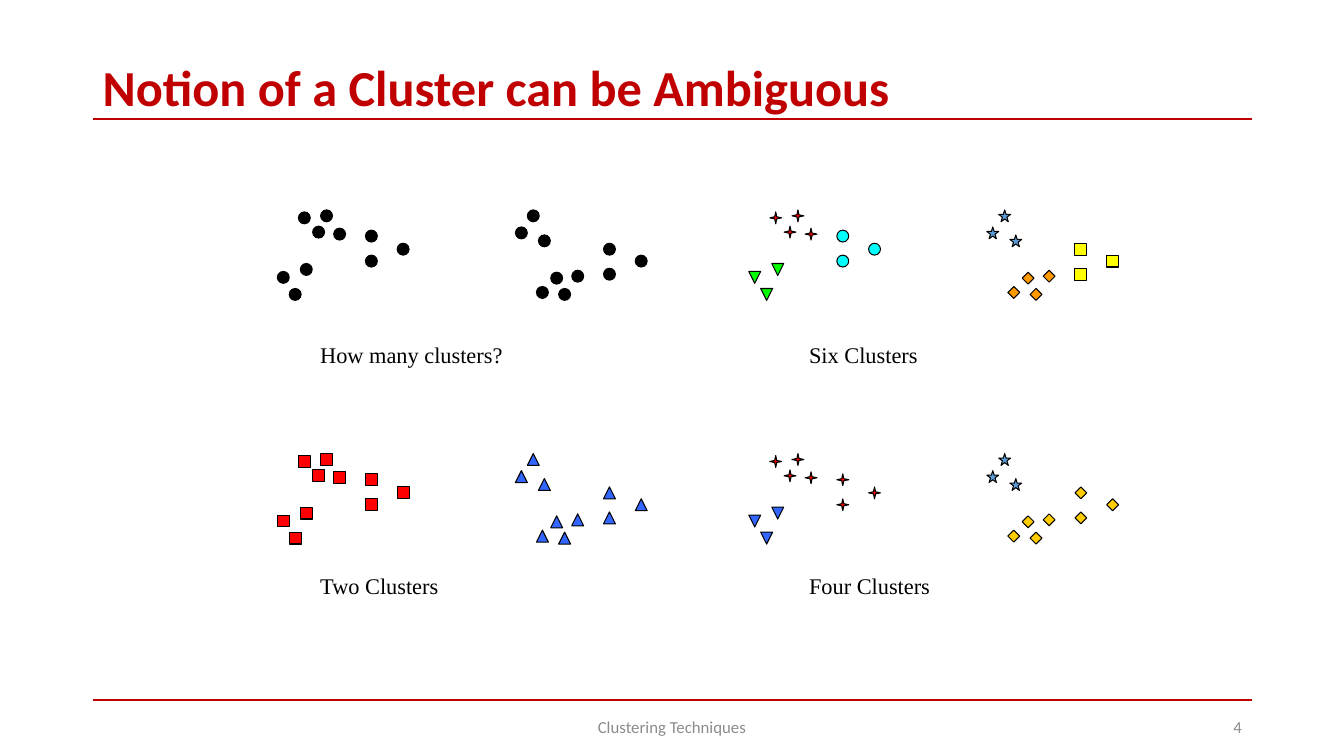
from pptx import Presentation
from pptx.dml.color import RGBColor
from pptx.enum.shapes import MSO_CONNECTOR, MSO_SHAPE
from pptx.enum.text import MSO_ANCHOR, PP_ALIGN
from pptx.oxml.ns import qn
from pptx.util import Cm, Pt

HUES = {
    "title": "C00000", "foot": "8C8C8C", "black": "000000", "red": "FF0000",
    "blue": "3366FF", "steel": "5B9BD5", "green": "00FF00", "cyan": "00FFFF",
    "orange": "FF9900", "yellow": "FFFF00", "gold": "FFCC00",
}


def rgb(name):
    return RGBColor.from_string(HUES[name])


def add_text(home, words, left, top, width, height, size=16, hue="black",
             font="Times New Roman", bold=False, align=PP_ALIGN.LEFT,
             anchor=MSO_ANCHOR.TOP, spacing=1.0):
    box = home.add_textbox(Cm(left), Cm(top), Cm(width), Cm(height))
    frame = box.text_frame
    frame.word_wrap = True
    frame.vertical_anchor = anchor
    para = frame.paragraphs[0]
    para.alignment = align
    para.line_spacing = spacing
    run = para.add_run()
    run.text = words
    run.font.name = font
    run.font.size = Pt(size)
    run.font.bold = bold
    run.font.color.rgb = rgb(hue)


deck = Presentation()
deck.slide_width, deck.slide_height = Cm(33.87), Cm(19.05)
slide = deck.slides.add_slide(deck.slide_layouts[6])
shapes = slide.shapes

# Rules above and below the body
for y in (3, 17.65):
    rule = shapes.add_connector(MSO_CONNECTOR.STRAIGHT,
                                Cm(2.34), Cm(y), Cm(31.55), Cm(y))
    rule.line.color.rgb = rgb("title")
    rule.line.width = Pt(1.5)
    props = rule._element.spPr
    props.append(props.makeelement(qn("a:effectLst"), {}))

# Title and footer
add_text(shapes, "Notion of a Cluster can be Ambiguous", 2.34, 1.55, 29.21, 1.47,
         size=36, hue="title", font="Calibri", bold=True,
         anchor=MSO_ANCHOR.MIDDLE, spacing=0.9)
foot = dict(size=12, hue="foot", font="Calibri", anchor=MSO_ANCHOR.MIDDLE)
add_text(shapes, "Clustering Techniques", 11.22, 17.8, 11.43, 1.02,
         align=PP_ALIGN.CENTER, **foot)
add_text(shapes, "4", 23.93, 17.8, 7.62, 1.02, align=PP_ALIGN.RIGHT, **foot)

# Left half of the points in three sets; the right half mirrors it top to bottom
LEFT = [
    [(1.42, 0.46), (0.53, 0.05), (1.09, 0), (0.89, 0.41)],
    [(0.58, 1.35), (0, 1.55), (0.3, 1.98)],
    [(2.22, 0.51), (3.02, 0.84), (2.22, 1.14)],
]
RIGHT = [[(x + 6, 1.98 - y) for x, y in part] for part in LEFT]
SETS = LEFT + RIGHT
SIZE = 0.3

# Marks: preset shape, fill, turn in degrees
dot = (MSO_SHAPE.OVAL, "black", 0)
ring = (MSO_SHAPE.OVAL, "cyan", 0)
box_red = (MSO_SHAPE.RECTANGLE, "red", 0)
box_sun = (MSO_SHAPE.RECTANGLE, "yellow", 0)
up = (MSO_SHAPE.ISOSCELES_TRIANGLE, "blue", 0)
down = (MSO_SHAPE.ISOSCELES_TRIANGLE, "blue", 180)
leaf = (MSO_SHAPE.ISOSCELES_TRIANGLE, "green", 180)
spark = (MSO_SHAPE.STAR_4_POINT, "red", 0)
star = (MSO_SHAPE.STAR_5_POINT, "steel", 0)
amber = (MSO_SHAPE.DIAMOND, "orange", 0)
gold = (MSO_SHAPE.DIAMOND, "gold", 0)

# Panels: caption, column, row, one mark for each set
PANELS = [
    ("How many clusters?", 0, 0, [dot] * 6),
    ("Six Clusters", 1, 0, [spark, leaf, ring, amber, star, box_sun]),
    ("Two Clusters", 0, 1, [box_red] * 3 + [up] * 3),
    ("Four Clusters", 1, 1, [spark, down, spark, gold, star, gold]),
]

for words, col, row, marks in PANELS:
    group = shapes.add_group_shape().shapes
    left, top = 6.99 + 11.88 * col, 5.29 + 6.14 * row
    for part, (kind, hue, turn) in zip(SETS, marks):
        for x, y in part:
            mark = group.add_shape(kind, Cm(left + x), Cm(top + y),
                                   Cm(SIZE), Cm(SIZE))
            mark.shadow.inherit = False
            mark.rotation = turn
            if kind == MSO_SHAPE.STAR_4_POINT:
                mark.adjustments[0] = 0.125
            mark.fill.solid()
            mark.fill.fore_color.rgb = rgb(hue)
            mark.line.color.rgb = rgb("black")
            mark.line.width = Pt(0.75)
    add_text(group, words, 7.82 + 12.32 * col, 8.46 + 5.84 * row, 6.35, 0.94)

deck.save("out.pptx")
